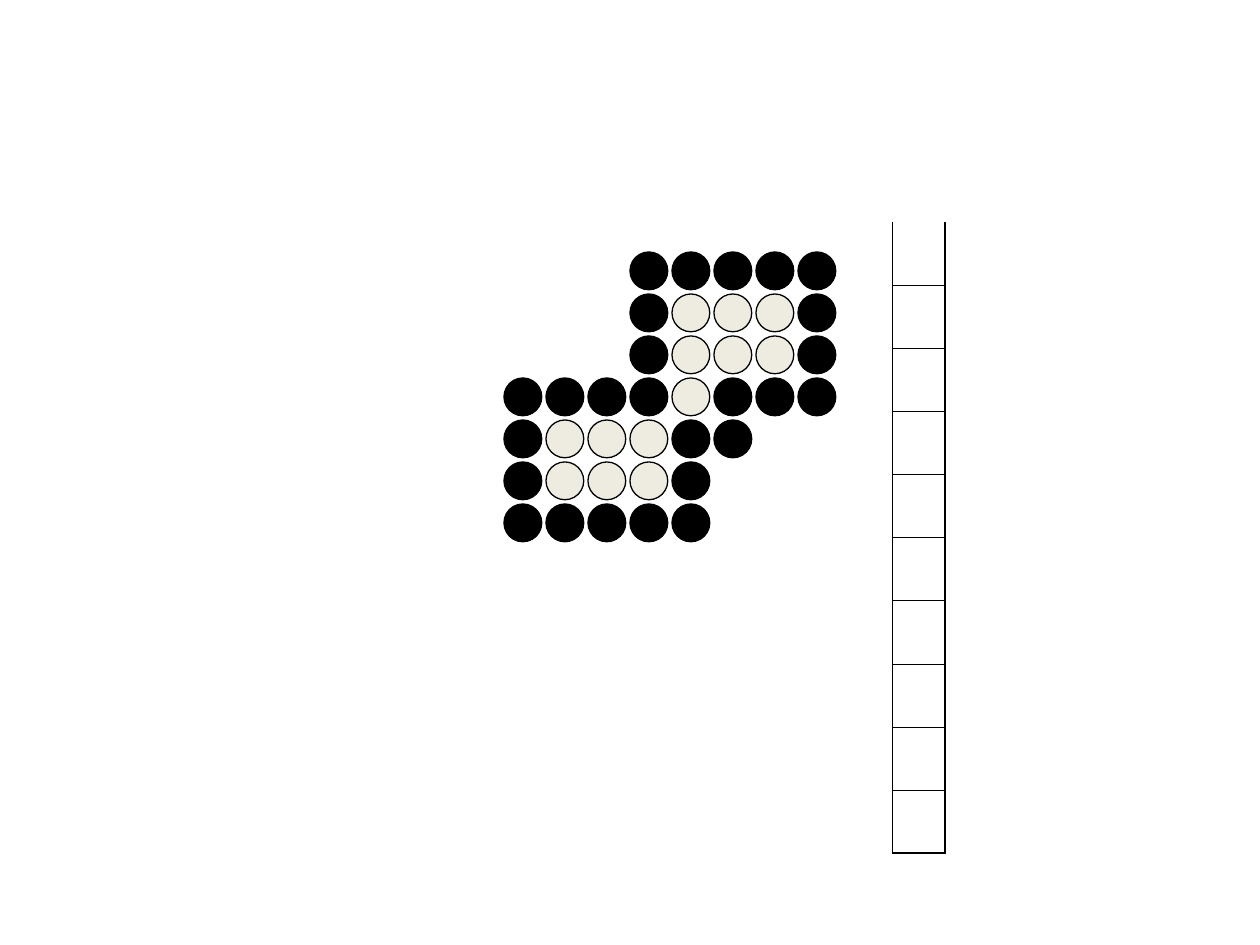
"""Draw two joined rings of counters beside an open-topped stack."""

from dataclasses import dataclass
from typing import Optional

import lxml.etree
import pptx
import pptx.dml.color
import pptx.enum.shapes
import pptx.oxml.ns
import pptx.util

Pt = pptx.util.Pt


@dataclass(frozen=True)
class Theme:
    ink: str = "000000"
    inside: str = "EEECE1"
    outline: float = 0.75
    thick: float = 1.08
    thin: float = 0.45


@dataclass(frozen=True)
class Board:
    left: float
    top: float
    pitch: float
    diameter: float
    rows: tuple[str, ...]


@dataclass(frozen=True)
class Stack:
    left: float
    top: float
    width: float
    row_height: float
    margin: float
    cells: int


THEME = Theme()
FILLS = {"B": THEME.ink, "W": THEME.inside}
BOARD = Board(288, 144, 24, 21.6, (
    "...BBBBB",
    "...BWWWB",
    "...BWWWB",
    "BBBBWBBB",
    "BWWWBB",
    "BWWWB",
    "BBBBB",
))
STACK = Stack(510, 127, 30, 24, 7.05, 10)


def rgb(value: str) -> pptx.dml.color.RGBColor:
    return pptx.dml.color.RGBColor.from_string(value)


def draw_board(slide, board: Board) -> None:
    group = slide.shapes.add_group_shape()
    size = Pt(board.diameter)
    for row, line in enumerate(board.rows):
        for col, mark in enumerate(line):
            if mark not in FILLS:
                continue
            sp = group.shapes.add_shape(
                pptx.enum.shapes.MSO_SHAPE.OVAL,
                Pt(board.left + col * board.pitch),
                Pt(board.top + row * board.pitch),
                size, size)
            sp.shadow.inherit = False
            sp.fill.solid()
            sp.fill.fore_color.rgb = rgb(FILLS[mark])
            sp.line.color.rgb = rgb(THEME.ink)
            sp.line.width = Pt(THEME.outline)


def set_borders(cell, widths: dict[str, Optional[float]]) -> None:
    qn = pptx.oxml.ns.qn
    tc_pr = cell._tc.get_or_add_tcPr()
    for index, (side, width) in enumerate(widths.items()):
        ln = lxml.etree.Element(qn(f"a:ln{side}"))
        tc_pr.insert(index, ln)
        if width is None:
            lxml.etree.SubElement(ln, qn("a:noFill"))
            continue
        ln.set("w", str(int(Pt(width))))
        fill = lxml.etree.SubElement(ln, qn("a:solidFill"))
        lxml.etree.SubElement(fill, qn("a:srgbClr"), val=THEME.ink)


def draw_stack(slide, stack: Stack) -> None:
    table = slide.shapes.add_table(
        stack.cells, 1, Pt(stack.left), Pt(stack.top), Pt(stack.width),
        Pt(stack.cells * stack.row_height)).table
    table.first_row = False
    table.horz_banding = False
    last = stack.cells - 1
    for i, row in enumerate(table.rows):
        row.height = Pt(stack.row_height)
        cell = row.cells[0]
        cell.margin_top = cell.margin_bottom = Pt(stack.margin)
        cell.fill.background()
        set_borders(cell, {
            "L": THEME.thick,
            "R": THEME.thick,
            "T": THEME.thin if i else None,
            "B": THEME.thick if i == last else THEME.thin,
        })


def main() -> None:
    prs = pptx.Presentation()
    prs.slide_width, prs.slide_height = Pt(720), Pt(540)
    slide = prs.slides.add_slide(prs.slide_layouts[6])
    draw_board(slide, BOARD)
    draw_stack(slide, STACK)
    prs.save("out.pptx")


if __name__ == "__main__":
    main()
